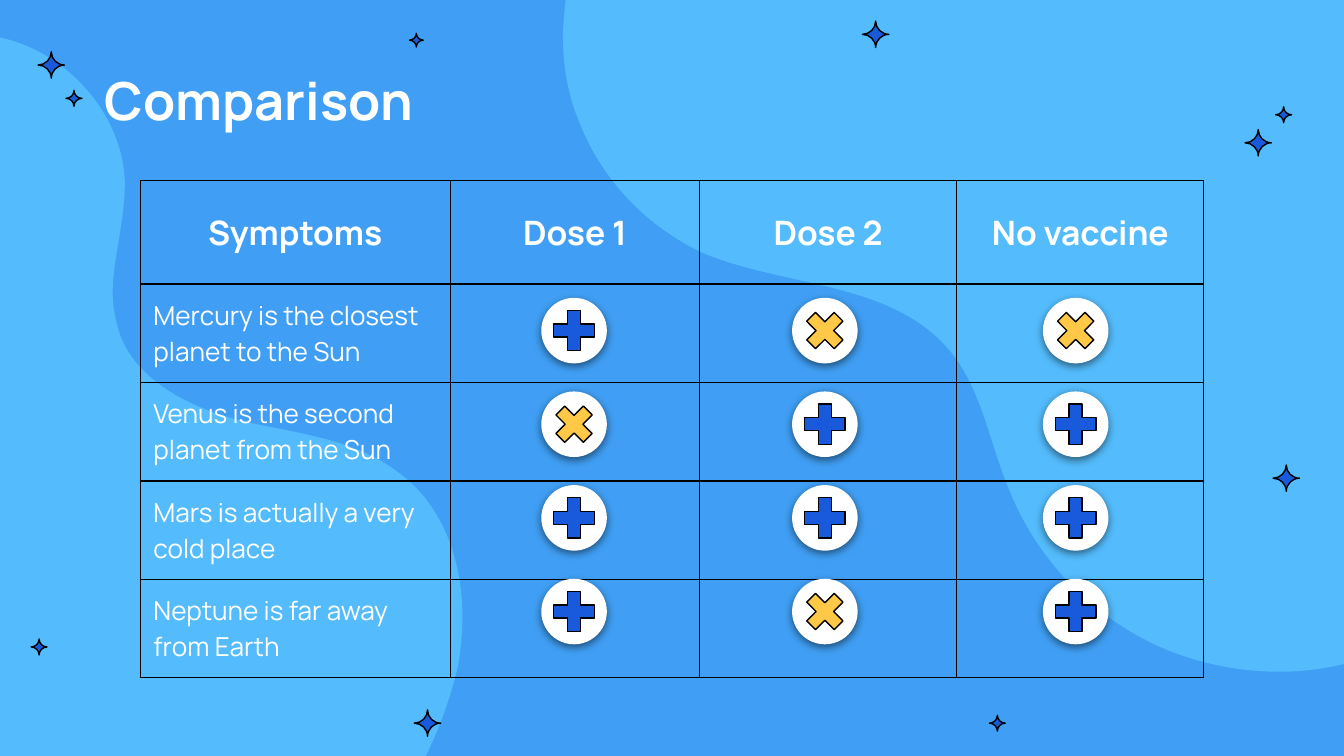
"""Build the vaccine dose comparison slide."""
from dataclasses import dataclass

from lxml import etree
from pptx import Presentation
from pptx import util as u
from pptx.dml import color
from pptx.enum import shapes, text
from pptx.oxml import ns


@dataclass(frozen=True)
class Theme:
    font: str = "Manrope"
    title_size: int = 28
    header_size: int = 18
    body_size: int = 14
    outline: float = 0.75
    background: str = "409FF4"
    wave: str = "54BCFC"
    blue: str = "185ADB"
    yellow: str = "FFC947"
    white: str = "FFFFFF"
    black: str = "000000"


def rgb(value):
    return color.RGBColor.from_string(value)


class Painter:
    def __init__(self, slide, theme):
        self.slide = slide
        self.theme = theme
        slide.background.fill.solid()
        slide.background.fill.fore_color.rgb = rgb(theme.background)

    def paint(self, shape, fill, outlined=False):
        shape.shadow.inherit = False
        shape.fill.solid()
        shape.fill.fore_color.rgb = rgb(fill)
        if outlined:
            shape.line.color.rgb = rgb(self.theme.black)
            shape.line.width = u.Pt(self.theme.outline)
        else:
            shape.line.fill.background()

    def style(self, paragraph, size, bold=False):
        paragraph.font.name = self.theme.font
        paragraph.font.size = u.Pt(size)
        paragraph.font.bold = bold
        paragraph.font.color.rgb = rgb(self.theme.white)

    def curved(self, curve, corners, fill, outlined=False):
        points = [(u.Cm(x), u.Cm(y)) for x, y in curve]
        builder = self.slide.shapes.build_freeform(*points[0])
        builder.add_line_segments(points[3::3] + [(u.Cm(x), u.Cm(y)) for x, y in corners])
        shape = builder.convert_to_shape()
        segments = list(shape._element.spPr.iter(ns.qn("a:lnTo")))
        for i, segment in zip(range(1, len(points), 3), segments):
            segment.tag = ns.qn("a:cubicBezTo")
            for handle, (x, y) in enumerate(points[i:i + 2]):
                segment.insert(handle, etree.Element(
                    ns.qn("a:pt"), x=str(x - shape.left), y=str(y - shape.top)))
        etree.SubElement(segments[-1].getparent(), ns.qn("a:close"))
        self.paint(shape, fill, outlined)

    def wave(self, curve, corner):
        self.curved(curve, [corner], self.theme.wave)

    def star(self, x, y, radius):
        bend = 0.45 * radius
        tips = [(0, -1), (-1, 0), (0, 1), (1, 0)]
        curve = [(x, y - radius)]
        for (ax, ay), (bx, by) in zip(tips, tips[1:] + tips[:1]):
            curve += [(x + ax * bend, y + ay * bend), (x + bx * bend, y + by * bend),
                      (x + bx * radius, y + by * radius)]
        self.curved(curve, [], self.theme.blue, outlined=True)

    def title(self, wording, left, top, width, height):
        frame = self.slide.shapes.add_textbox(
            u.Cm(left), u.Cm(top), u.Cm(width), u.Cm(height)).text_frame
        frame.word_wrap = True
        frame.margin_left = frame.margin_right = frame.margin_top = frame.margin_bottom = 0
        frame.vertical_anchor = text.MSO_ANCHOR.MIDDLE
        frame.text = wording
        self.style(frame.paragraphs[0], self.theme.title_size, bold=True)

    def borders(self, cell):
        properties = cell._tc.get_or_add_tcPr()
        for side in ("a:lnL", "a:lnR", "a:lnT", "a:lnB"):
            line = etree.SubElement(properties, ns.qn(side), w=str(u.Pt(self.theme.outline)))
            fill = etree.SubElement(line, ns.qn("a:solidFill"))
            etree.SubElement(fill, ns.qn("a:srgbClr"), val=self.theme.black)

    def table(self, headers, symptoms, left, top, widths, heights):
        grid = self.slide.shapes.add_table(
            len(heights), len(widths), u.Cm(left), u.Cm(top),
            u.Cm(sum(widths)), u.Cm(sum(heights))).table
        grid.first_row = grid.horz_banding = False
        for column, width in zip(grid.columns, widths):
            column.width = u.Cm(width)
        for row, height in zip(grid.rows, heights):
            row.height = u.Cm(height)
        for cell in grid.iter_cells():
            self.borders(cell)
            cell.fill.background()
            cell.margin_left = cell.margin_right = u.Cm(0.25)
            cell.margin_top = cell.margin_bottom = u.Cm(0.25)
            cell.vertical_anchor = text.MSO_ANCHOR.MIDDLE
        for i, header in enumerate(headers):
            grid.cell(0, i).text = header
            paragraph = grid.cell(0, i).text_frame.paragraphs[0]
            paragraph.alignment = text.PP_ALIGN.CENTER
            self.style(paragraph, self.theme.header_size, bold=True)
        for i, symptom in enumerate(symptoms, 1):
            grid.cell(i, 0).text = symptom
            self.style(grid.cell(i, 0).text_frame.paragraphs[0], self.theme.body_size)

    def centred(self, kind, x, y, size):
        return self.slide.shapes.add_shape(
            kind, u.Cm(x - size / 2), u.Cm(y - size / 2), u.Cm(size), u.Cm(size))

    def badge(self, x, y, present):
        disc = self.centred(shapes.MSO_SHAPE.OVAL, x, y, 1.24)
        self.paint(disc, self.theme.white)
        effects = disc._element.spPr.find(ns.qn("a:effectLst"))
        shadow = etree.SubElement(effects, ns.qn("a:outerShdw"), blurRad=str(u.Pt(4.5)),
                                  dist=str(u.Pt(1.5)), dir="5400000", algn="bl", rotWithShape="0")
        tint = etree.SubElement(shadow, ns.qn("a:srgbClr"), val=self.theme.black)
        etree.SubElement(tint, ns.qn("a:alpha"), val="50000")
        if present:
            mark = self.centred(shapes.MSO_SHAPE.MATH_PLUS, x, y, 1.04)
        else:
            mark = self.centred(shapes.MSO_SHAPE.MATH_MULTIPLY, x, y, 1)
        mark.adjustments[0] = 0.235
        self.paint(mark, self.theme.blue if present else self.theme.yellow, outlined=True)


RIGHT_WAVE = [
    (25.4, 12.55), (24.28, 12.83), (23.06, 12.7), (22.02, 12.27),
    (20.7, 11.71), (19.63, 10.62), (19.1, 9.32), (18.69, 8.38), (18.57, 7.34), (17.91, 6.58),
    (17.35, 5.94), (16.54, 5.64), (15.72, 5.44), (14.91, 5.23), (14.07, 5.11), (13.28, 4.78),
    (12.24, 4.29), (11.4, 3.43), (10.97, 2.36), (10.74, 1.83), (10.64, 1.27), (10.64, 0.69),
    (10.64, 0.46), (10.67, 0.23), (10.69, 0)]
LEFT_WAVE = [
    (0, 0.71), (1.24, 0.97), (2.31, 2.13), (2.36, 3.43),
    (2.36, 4.22), (2.13, 4.9), (2.13, 5.54), (2.13, 5.79), (2.18, 6.05), (2.26, 6.3),
    (2.59, 7.24), (3.68, 7.75), (4.67, 7.98), (5.66, 8.2), (6.73, 8.31), (7.54, 8.94),
    (8.38, 9.55), (8.74, 10.62), (8.74, 11.66), (8.74, 11.96), (8.71, 12.27), (8.66, 12.57),
    (8.53, 13.16), (8.31, 13.74), (8.05, 14.29)]
STARS = {
    0.25: [(0.97, 1.23), (23.78, 2.7), (24.31, 9.04), (16.55, 0.65), (8.08, 13.67)],
    0.15: [(18.85, 13.67), (1.4, 1.86), (24.26, 2.17), (0.74, 12.23)],
    0.13: [(7.87, 0.76)]}
HEADERS = ["Symptoms", "Dose 1", "Dose 2", "No vaccine"]
RESULTS = {
    "Mercury is the closest planet to the Sun": (True, False, False),
    "Venus is the second planet from the Sun": (False, True, True),
    "Mars is actually a very cold place": (True, True, True),
    "Neptune is far away from Earth": (True, False, True)}


def main():
    deck = Presentation()
    deck.slide_width, deck.slide_height = u.Cm(25.4), u.Cm(14.29)
    painter = Painter(deck.slides.add_slide(deck.slide_layouts[6]), Theme())
    painter.wave(RIGHT_WAVE, (25.4, 0))
    painter.wave(LEFT_WAVE, (0, 14.29))
    for radius, centres in STARS.items():
        for x, y in centres:
            painter.star(x, y, radius)
    painter.title("Comparison", 1.98, 1.24, 21.44, 1.27)
    painter.table(HEADERS, RESULTS, 2.65, 3.41, [5.86, 4.71, 4.86, 4.67], [1.96] + [1.86] * 4)
    for row, outcomes in enumerate(RESULTS.values()):
        for column, present in enumerate(outcomes):
            painter.badge(10.85 + 4.74 * column, 6.25 + 1.77 * row, present)
    deck.save("out.pptx")


if __name__ == "__main__":
    main()
